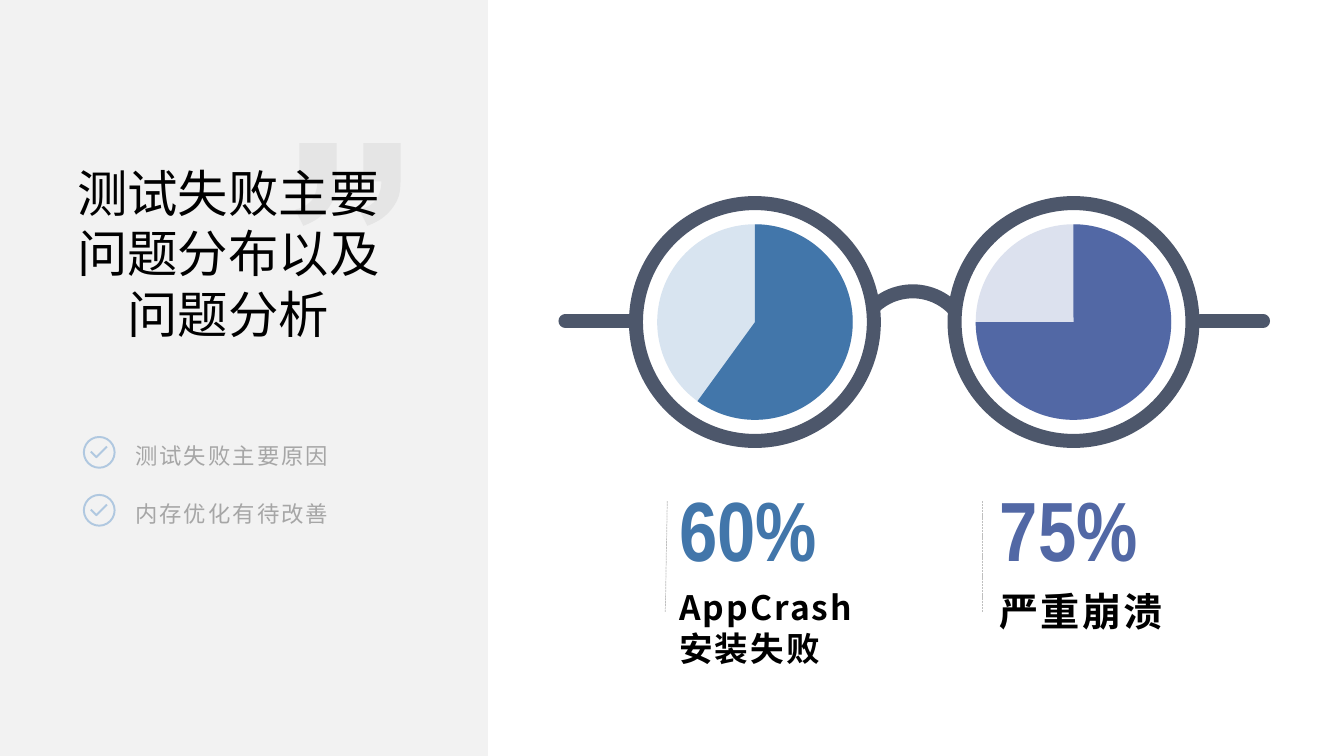
from collections import namedtuple

from lxml import etree
from pptx import Presentation
from pptx import util as u
from pptx.dml.color import RGBColor
from pptx.enum import dml, shapes, text
from pptx.oxml import ns

CELL = 91440
COLUMNS, ROWS = 133.33, 75
FRAME, PALE_BLUE = "4D576B", "B0C8E0"
CJK = "Noto Sans CJK SC"
FRAME_WIDTH, TICK_WIDTH = 10, 1.38
Box = namedtuple("Box", "left top width height")


def cells(*values):
    return [u.Emu(round(value * CELL)) for value in values]


def inside(box, left, top, width, height):
    return Box(box.left + left, box.top + top, width, height)


def color(target, value):
    if hasattr(target, "solid"):
        target.solid()
        target = target.fore_color
    target.rgb = RGBColor.from_string(value)


def stroke(line, value, width, cap="flat"):
    color(line.fill, value)
    line.width = u.Pt(width)
    line._get_or_add_ln().set("cap", cap)


def paint(shape, fill=None, line=None, width=FRAME_WIDTH, cap="flat"):
    shape.shadow.inherit = False
    if fill:
        color(shape.fill, fill)
    else:
        shape.fill.background()
    if line:
        stroke(shape.line, line, width, cap)
    else:
        shape.line.fill.background()
    return shape


def add_shape(parent, kind, box, angles=(), **style):
    shape = parent.add_shape(kind, *cells(*box))
    for index, angle in enumerate(angles):
        shape.adjustments[index] = angle * 0.6
    return paint(shape, **style)


def add_outline(parent, contours, closed, **style):
    builder = None
    for contour in contours:
        points = [cells(*point) for point in contour]
        if builder is None:
            builder = parent.build_freeform(*points[0], scale=1.0)
        else:
            builder.move_to(*points[0])
        builder.add_line_segments(points[1:], close=closed)
    return paint(builder.convert_to_shape(), **style)


def bend(shape, contour_length, starts):
    outline = shape._element.spPr.find(".//" + ns.qn("a:path"))
    steps = [step for step in outline if step.tag != ns.qn("a:close")]
    for first in range(0, len(steps), contour_length):
        for start in starts:
            trio = steps[first + start:first + start + 3]
            curve = etree.Element(ns.qn("a:cubicBezTo"))
            trio[0].addprevious(curve)
            for step in trio:
                curve.append(step[0])
                outline.remove(step)


def add_line(parent, start, end, value, width, dash=None, cap="flat"):
    line = parent.add_connector(shapes.MSO_CONNECTOR.STRAIGHT, *cells(*start, *end))
    stroke(line.line, value, width, cap)
    if dash:
        line.line.dash_style = dash
    etree.SubElement(line._element.spPr, ns.qn("a:effectLst"))


def add_text(parent, box, words, size, value, font=CJK, bold=False, spacing=None,
             tracking=0, align=text.PP_ALIGN.LEFT, anchor=text.MSO_ANCHOR.TOP,
             margins=(1, 0.5, 1, 0.5)):
    frame = parent.add_textbox(*cells(*box)).text_frame
    frame.word_wrap = True
    frame.vertical_anchor = anchor
    (frame.margin_left, frame.margin_top,
     frame.margin_right, frame.margin_bottom) = cells(*margins)
    para = frame.paragraphs[0]
    para.text = words
    para.alignment = align
    para.line_spacing = spacing
    for span in para.runs:
        span.font.size = u.Pt(size)
        span.font.bold = bold
        span.font.name = font
        color(span.font.color, value)
        properties = span.font._element
        properties.set("spc", str(round(tracking * 100)))
        etree.SubElement(properties, ns.qn("a:ea"), typeface=CJK)


def quote_mark(parent, box):
    mark = [(0.8, 8.2), (0, 6.6),
            (0.8, 6.4), (1.4, 6), (1.7, 5.6), (2, 5.1), (2.2, 4.5), (2.2, 3.8),
            (0.4, 3.8), (0.4, 0), (4.1, 0), (4.1, 2.7),
            (4.1, 3.8), (4.1, 4.7), (3.9, 5.3), (3.7, 5.9), (3.3, 6.5), (2.8, 7),
            (2.3, 7.5), (1.6, 7.9), (0.8, 8.2)]
    contours = [[(box.left + shift + x, box.top + y) for x, y in mark]
                for shift in (0, 6.35)]
    shape = add_outline(parent, contours, True, fill="D9D9D9")
    bend(shape, len(mark), (2, 5, 12, 15, 18))
    tint = shape._element.spPr.find(".//" + ns.qn("a:srgbClr"))
    etree.SubElement(tint, ns.qn("a:alpha"), val="50000")


def check_item(parent, box, words):
    add_text(parent, inside(box, 4.1, -0.8, 31.2, 4.5), words, 16, "A6A6A6",
             font="Arial", tracking=1.5, spacing=u.Pt(16 * 1.57))
    group = parent.add_group_shape().shapes
    add_shape(group, shapes.MSO_SHAPE.OVAL, inside(box, 0, 0, 3.05, 3.05),
              line=PALE_BLUE, width=TICK_WIDTH)
    tick = [(box.left + x, box.top + y) for x, y in ((0.7, 1.45), (1.25, 2), (2.3, 0.95))]
    add_outline(group, [tick], False, line=PALE_BLUE, width=TICK_WIDTH)


def side_panel(parent, box):
    add_shape(parent, shapes.MSO_SHAPE.RECTANGLE, box, fill="F2F2F2")
    for row, words in enumerate(("测试失败主要原因", "内存优化有待改善")):
        check_item(parent, inside(box, 8.32, 43.35 + 5.75 * row, 36, 4.5), words)
    quote_mark(parent, inside(box, 29.3, 14.2, 10.5, 8.2))
    add_text(parent, inside(box, 7.4, 16.05, 30.5, 18.2), "测试失败主要问题分布以及问题分析",
             36, "000000", spacing=u.Pt(36 * 1.2), align=text.PP_ALIGN.CENTER,
             margins=(0, 0, 0, 0))


def lens(parent, box, share, pale, strong, flipped):
    glass = inside(box, 2.1, 2.1, box.width - 4.2, box.height - 4.2)
    add_shape(parent, shapes.MSO_SHAPE.OVAL, glass, fill=pale)
    add_shape(parent, shapes.MSO_SHAPE.PIE, glass,
              angles=(270, (270 + 360 * share) % 360), fill=strong)
    rim = add_shape(parent, shapes.MSO_SHAPE.ARC, box, angles=(270, 269.45),
                    line=FRAME, cap="rnd")
    if flipped:
        rim._element.spPr.xfrm.set("flipH", "1")


def reading(parent, box, share, strong, label, size, lean):
    add_line(parent, (box.left - lean, box.top + 13.7), (box.left, box.top + 2.7),
             "BFBFBF", 0.5, dash=dml.MSO_LINE.SQUARE_DOT)
    column = inside(box, box.width - 21.3, -0.1, 21.3, 10.4)
    add_text(parent, column, f"{share:.0%}", 60, strong, font="Arial Narrow",
             bold=True, spacing=0.8, anchor=text.MSO_ANCHOR.BOTTOM, margins=(1, 0.5, 1, 0))
    add_text(parent, inside(column, 0, 10.8, 21.3, 9.1), label, size, "000000",
             bold=True, tracking=1.5, spacing=u.Pt(size * 1.22))


def glasses(parent, box):
    rim = box.height
    middle = box.top + rim / 2 - 0.1
    left = inside(box, 7, 0, rim, rim)
    right = inside(box, box.width - 7 - rim, 0, rim, rim)
    lens(parent, left, 0.6, "D8E4F0", "4276AA", False)
    lens(parent, right, 0.75, "DCE1EE", "5268A5", True)
    for end, inward in ((box.left, 1), (box.left + box.width, -1)):
        add_line(parent, (end, middle), (end + 6.2 * inward, middle),
                 FRAME, FRAME_WIDTH, cap="rnd")
    bridge = add_shape(parent, shapes.MSO_SHAPE.ARC,
                       inside(box, box.width / 2 - 5.75, 8.75, 11.2, 11.2), line=FRAME)
    bridge.rotation = 318.8


def main():
    deck = Presentation()
    deck.slide_width, deck.slide_height = cells(COLUMNS, ROWS)
    parent = deck.slides.add_slide(deck.slide_layouts[6]).shapes
    side_panel(parent, Box(0, 0, 48.4, ROWS))
    glasses(parent, Box(56.1, 20.15, 69.2, 23.6))
    reading(parent, Box(66.2, 47, 21.5, 20), 0.6, "4276AA", "AppCrash\v安装失败", 24, 0.2)
    reading(parent, Box(97.45, 47, 22.05, 20), 0.75, "5268A5", "严重崩溃", 28, 0)
    deck.save("out.pptx")


if __name__ == "__main__":
    main()
